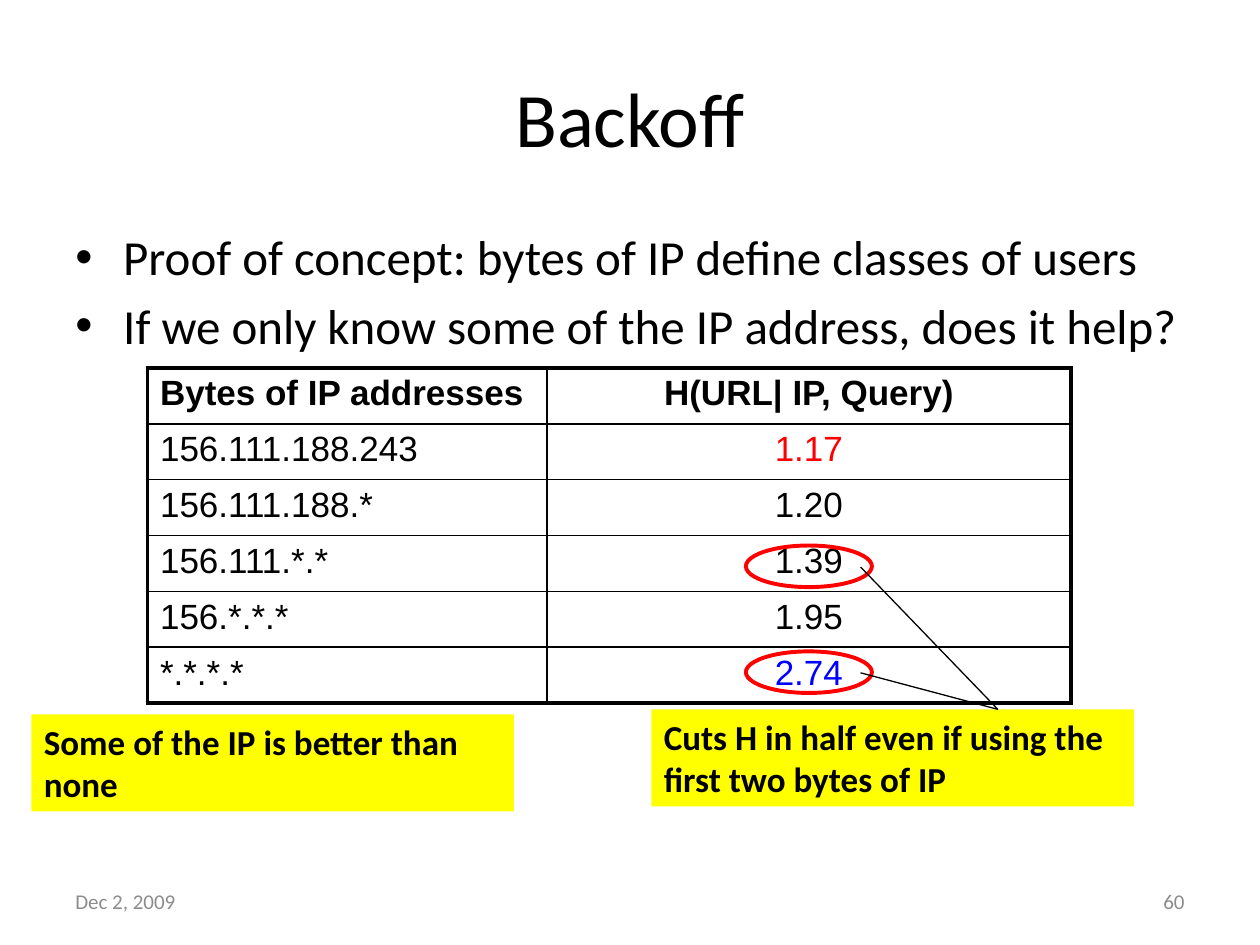
import pptx
import pptx.util
import pptx.dml.color
import pptx.enum.shapes
import pptx.enum.text
import pptx.oxml.ns
from lxml import etree

Inches, Pt = pptx.util.Inches, pptx.util.Pt
RGBColor = pptx.dml.color.RGBColor
ALIGN = pptx.enum.text.PP_ALIGN
ANCHOR = pptx.enum.text.MSO_ANCHOR
SHAPE = pptx.enum.shapes.MSO_SHAPE
qn = pptx.oxml.ns.qn

BLACK = RGBColor(0, 0, 0)
GRAY = RGBColor(0x8C, 0x8C, 0x8C)
RED = RGBColor(0xFF, 0, 0)
BLUE = RGBColor(0, 0, 0xFF)
YELLOW = RGBColor(0xFF, 0xFF, 0)

HEADERS = ("Bytes of IP addresses", "H(URL| IP, Query)")
ENTROPIES = [
    ("156.111.188.243", "1.17", RED),
    ("156.111.188.*", "1.20", BLACK),
    ("156.111.*.*", "1.39", BLACK),
    ("156.*.*.*", "1.95", BLACK),
    ("*.*.*.*", "2.74", BLUE),
]


def style(p, size, color=BLACK, bold=False, font="Calibri", align=ALIGN.LEFT):
    p.alignment = align
    for r in p.runs:
        r.font.name, r.font.size, r.font.bold = font, Pt(size), bold
        r.font.color.rgb = color


def add_title(s, text, x, y, w, h):
    title = s.shapes.title
    title.left, title.top, title.width, title.height = map(Inches, (x, y, w, h))
    tf = title.text_frame
    tf.text = text
    tf.vertical_anchor = ANCHOR.MIDDLE
    style(tf.paragraphs[0], 44, align=ALIGN.CENTER)


def add_bullets(s, items, x, y, w, h):
    tf = s.shapes.add_textbox(*map(Inches, (x, y, w, h))).text_frame
    tf.word_wrap = True
    tf.text = "\n".join(items)
    for i, p in enumerate(tf.paragraphs):
        pPr = p._p.get_or_add_pPr()
        pPr.set("marL", str(Inches(0.38)))
        pPr.set("indent", str(-Inches(0.38)))
        etree.SubElement(pPr, qn("a:buFont")).set("typeface", "Arial")
        etree.SubElement(pPr, qn("a:buChar")).set("char", "•")
        if i:
            p.space_before = Pt(5.6)
        style(p, 28)


def set_borders(cell, widths):
    """Draw black borders; widths are points for left, right, top, bottom."""
    tcPr = cell._tc.get_or_add_tcPr()
    for i, (side, width) in enumerate(zip("LRTB", widths)):
        ln = etree.Element(qn(f"a:ln{side}"), w=str(Pt(width)))
        fill = etree.SubElement(ln, qn("a:solidFill"))
        etree.SubElement(fill, qn("a:srgbClr")).set("val", str(BLACK))
        tcPr.insert(i, ln)


def add_entropy_table(s, x, y, w, h):
    rows = [(*HEADERS, BLACK)] + ENTROPIES
    last = len(rows) - 1
    table = s.shapes.add_table(len(rows), 2, *map(Inches, (x, y, w, h))).table
    table.first_row = table.horz_banding = False
    table.columns[0].width = Inches(3.17)
    table.columns[1].width = Inches(w - 3.17)
    for i, (address, entropy, color) in enumerate(rows):
        table.rows[i].height = Inches(h / len(rows))
        top, bottom = (2.25 if i == edge else 1 for edge in (0, last))
        columns = [(address, BLACK, ALIGN.LEFT, (2.25, 1)),
                   (entropy, color, ALIGN.CENTER, (1, 2.25))]
        for j, (text, text_color, align, sides) in enumerate(columns):
            cell = table.cell(i, j)
            cell.fill.background()
            set_borders(cell, (*sides, top, bottom))
            cell.text_frame.text = text
            style(cell.text_frame.paragraphs[0], 20, text_color, i == 0,
                  "Arial", align)


def add_ring(s, x, y, w, h):
    ring = s.shapes.add_shape(SHAPE.OVAL, *map(Inches, (x, y, w, h)))
    ring.shadow.inherit = False
    ring.fill.background()
    ring.line.color.rgb = RED
    ring.line.width = Pt(2.25)


def add_callout(s, text, x, y, w, h):
    box = s.shapes.add_shape(SHAPE.RECTANGLE, *map(Inches, (x, y, w, h)))
    box.shadow.inherit = False
    box.fill.solid()
    box.fill.fore_color.rgb = YELLOW
    box.line.fill.background()
    tf = box.text_frame
    tf.word_wrap = True
    tf.vertical_anchor = ANCHOR.TOP
    tf.text = text
    style(tf.paragraphs[0], 20, bold=True)


def add_pointer(s, x1, y1, x2, y2):
    line = s.shapes.add_connector(pptx.enum.shapes.MSO_CONNECTOR.STRAIGHT,
                                  *map(Inches, (x1, y1, x2, y2)))
    line.line.color.rgb = BLACK
    line.line.width = Pt(0.75)
    etree.SubElement(line._element.spPr, qn("a:effectLst"))


def add_footer(s, text, align, x, y, w, h):
    tf = s.shapes.add_textbox(*map(Inches, (x, y, w, h))).text_frame
    tf.word_wrap = True
    tf.vertical_anchor = ANCHOR.MIDDLE
    tf.text = text
    style(tf.paragraphs[0], 12, GRAY, align=align)


def main():
    prs = pptx.Presentation()
    prs.slide_width, prs.slide_height = Inches(10), Inches(7.5)
    s = prs.slides.add_slide(prs.slide_layouts.get_by_name("Title Only"))
    add_title(s, "Backoff", 0.5, 0.3, 9, 1.25)
    add_bullets(s, ["Proof of concept: bytes of IP define classes of users",
                    "If we only know some of the IP address, does it help?"],
                0.5, 1.75, 9, 4.95)
    add_entropy_table(s, 1.17, 2.92, 7.33, 2.66)
    ring_tops = (4.33, 5.17)
    for top in ring_tops:
        add_ring(s, 5.92, top, 1, 0.33)
    add_callout(s, "Cuts H in half even if using the first two bytes of IP",
                5.17, 5.63, 3.83, 0.77)
    for top in ring_tops:
        add_pointer(s, 6.83, top + 0.17, 7.92, 5.63)
    add_callout(s, "Some of the IP is better than none",
                0.25, 5.67, 3.83, 0.77)
    add_footer(s, "Dec 2, 2009", ALIGN.LEFT, 0.5, 6.95, 2.33, 0.4)
    add_footer(s, "60", ALIGN.RIGHT, 7.17, 6.95, 2.33, 0.4)
    prs.save("out.pptx")


if __name__ == "__main__":
    main()
